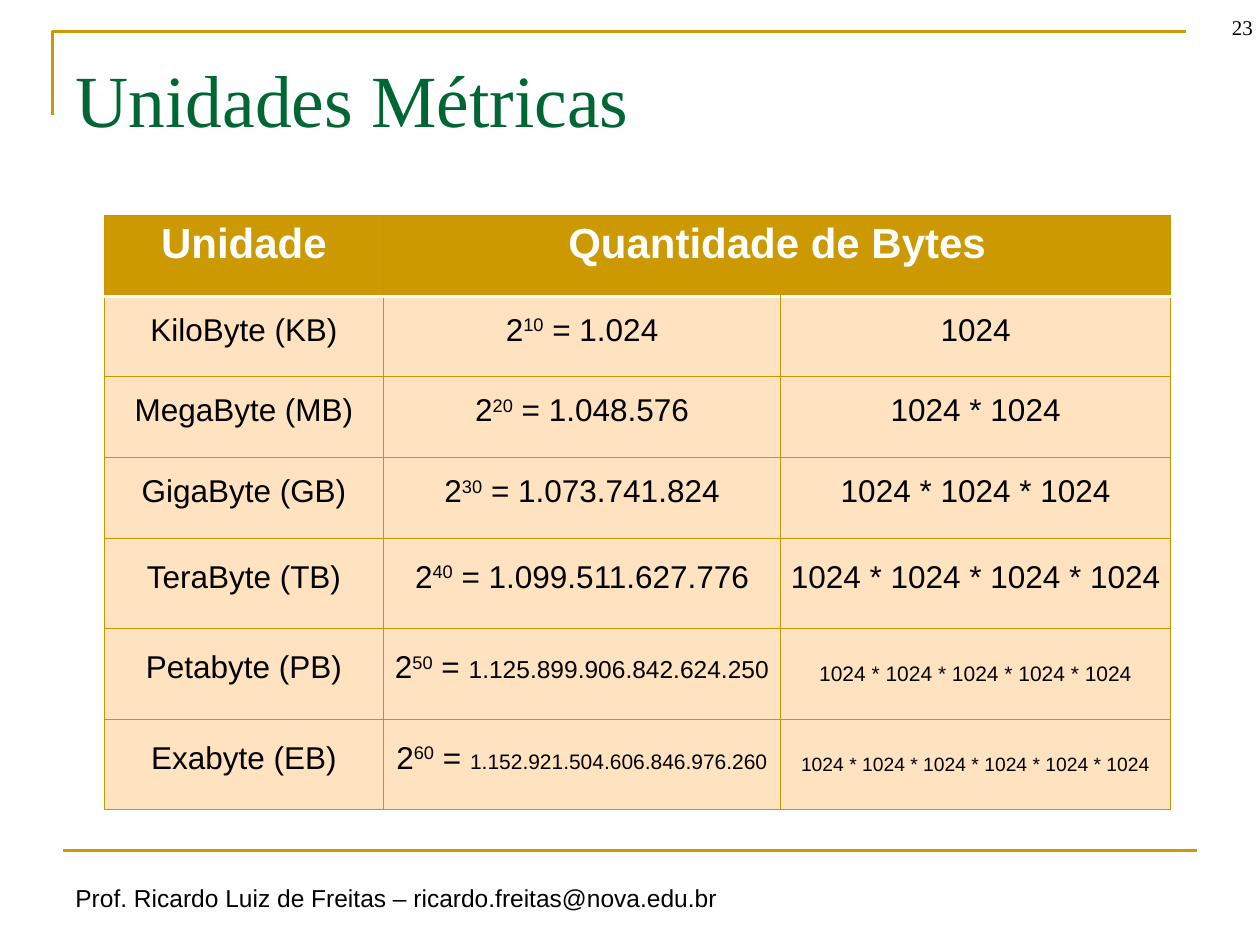
from lxml.etree import SubElement
from pptx import Presentation
from pptx.dml.color import RGBColor
from pptx.enum.shapes import MSO_CONNECTOR
from pptx.enum.text import MSO_ANCHOR, MSO_AUTO_SIZE, PP_ALIGN
from pptx.oxml.ns import qn
from pptx.util import Pt

COLORS = {
    "gold": "CC9900", "border": "C89600", "cream": "FFE2C0",
    "green": "006633", "white": "FFFFFF", "black": "000000",
}
TITLE = "Unidades Métricas"
PAGE_NUMBER = "23"
FOOTER = "Prof. Ricardo Luiz de Freitas – ricardo.freitas@nova.edu.br"
HEADINGS = ["Unidade", "Quantidade de Bytes"]
# unit, bytes, size of bytes, size of product
UNITS = [
    ("KiloByte (KB)", "1.024", 18, 18),
    ("MegaByte (MB)", "1.048.576", 18, 18),
    ("GigaByte (GB)", "1.073.741.824", 18, 18),
    ("TeraByte (TB)", "1.099.511.627.776", 18, 18),
    ("Petabyte (PB)", "1.125.899.906.842.624.250", 14, 12),
    ("Exabyte (EB)", "1.152.921.504.606.846.976.260", 12, 11),
]
TABLE_LEFT, TABLE_TOP = 59.6, 123
COLUMN_WIDTHS = [159.6, 226.8, 223]
ROW_HEIGHTS = [46.2] * 4 + [51.7] * 3


def rgb(name):
    return RGBColor.from_string(COLORS[name])


def style_font(font, size, color, family="Arial", bold=False):
    font.size, font.name, font.bold = Pt(size), family, bold
    font.color.rgb = rgb(color)


def style_line(line):
    line.color.rgb = rgb("gold")
    line.width = Pt(1.5)


def add_label(slide, text, box, size, family, wrap=True):
    label = slide.shapes.add_textbox(*map(Pt, box)).text_frame
    label.word_wrap = wrap
    label.text = text
    style_font(label.paragraphs[0].font, size, "black", family)
    return label


def style_cell(cell, fill, borders):
    cell.vertical_anchor = MSO_ANCHOR.MIDDLE
    cell.margin_left = cell.margin_right = Pt(4.5)
    cell.margin_top = cell.margin_bottom = Pt(4.5)
    properties = cell._tc.get_or_add_tcPr()
    for side, (color, width) in borders.items():
        edge = SubElement(properties, qn(f"a:ln{side}"), w=str(Pt(width)))
        solid = SubElement(edge, qn("a:solidFill"))
        SubElement(solid, qn("a:srgbClr"), val=COLORS[color])
    cell.fill.solid()
    cell.fill.fore_color.rgb = rgb(fill)


def write_cell(cell, runs, size, color, bold=False):
    paragraph = cell.text_frame.paragraphs[0]
    paragraph.alignment = PP_ALIGN.CENTER
    paragraph.line_spacing, paragraph.space_after = Pt(13), Pt(8.5)
    style_font(paragraph.font, size, color, bold=bold)
    for text, run_size, baseline in runs:
        run = paragraph.add_run()
        run.text = text
        style_font(run.font, run_size, color, bold=bold)
        if baseline:
            run.font._element.set("baseline", str(baseline))


def add_units_table(slide):
    units = slide.shapes.add_table(
        len(ROW_HEIGHTS), len(COLUMN_WIDTHS), Pt(TABLE_LEFT), Pt(TABLE_TOP),
        Pt(sum(COLUMN_WIDTHS)), Pt(sum(ROW_HEIGHTS))).table
    for column, width in zip(units.columns, COLUMN_WIDTHS):
        column.width = Pt(width)
    for row, height in zip(units.rows, ROW_HEIGHTS):
        row.height = Pt(height)

    for index, row in enumerate(units.rows):
        borders = {side: ("border", 0.75) for side in "LRTB"}
        if index == 0:
            borders["B"] = ("white", 2)
        elif index == 1:
            borders["T"] = ("white", 2)
        for cell in row.cells:
            style_cell(cell, "cream" if index else "gold", borders)

    units.cell(0, 1).merge(units.cell(0, 2))
    for column, heading in enumerate(HEADINGS):
        write_cell(units.cell(0, column), [(heading, 24, 0)], 24, "white", True)
    for power, (unit, amount, amount_size, product_size) in enumerate(UNITS, 1):
        product = " * ".join(["1024"] * power)
        contents = [
            [(unit, 18, 0)],
            [("2", 18, 0), (str(power * 10), 18, 30000), (" = ", 18, 0),
             (amount, amount_size, 0)],
            [(product, product_size, 0)],
        ]
        for column, runs in enumerate(contents):
            write_cell(units.cell(power, column), runs, runs[-1][1], "black")


def main():
    """Build the slide on units of storage."""
    deck = Presentation()
    deck.slide_width, deck.slide_height = Pt(720), Pt(540)
    slide = deck.slides.add_slide(deck.slide_layouts[5])

    outline = slide.shapes.build_freeform(Pt(30), Pt(66))
    outline.add_line_segments([(Pt(30), Pt(18)), (Pt(678), Pt(18))], close=False)
    corner = outline.convert_to_shape()
    corner.shadow.inherit = False
    corner.fill.background()
    style_line(corner.line)

    footer_rule = slide.shapes.add_connector(
        MSO_CONNECTOR.STRAIGHT, Pt(36), Pt(486), Pt(684), Pt(486))
    style_line(footer_rule.line)
    SubElement(footer_rule._element.spPr, qn("a:effectLst"))

    add_label(slide, FOOTER, (36, 501, 397.5, 24.5), 14, "Arial", wrap=False)

    title = slide.shapes.title
    title.left, title.top, title.width, title.height = map(Pt, (36, 21.6, 648, 90))
    title.text_frame.text = TITLE
    title.text_frame.auto_size = MSO_AUTO_SIZE.NONE
    title.text_frame.vertical_anchor = MSO_ANCHOR.TOP
    title.text_frame.margin_top = Pt(9)
    title.text_frame.paragraphs[0].alignment = PP_ALIGN.LEFT
    style_font(title.text_frame.paragraphs[0].font, 42, "green", "Times New Roman")

    number = add_label(slide, PAGE_NUMBER, (669, -10, 54, 36), 12, "Times New Roman")
    number.vertical_anchor = MSO_ANCHOR.BOTTOM
    number.paragraphs[0].alignment = PP_ALIGN.RIGHT

    add_units_table(slide)
    deck.save("out.pptx")


if __name__ == "__main__":
    main()
